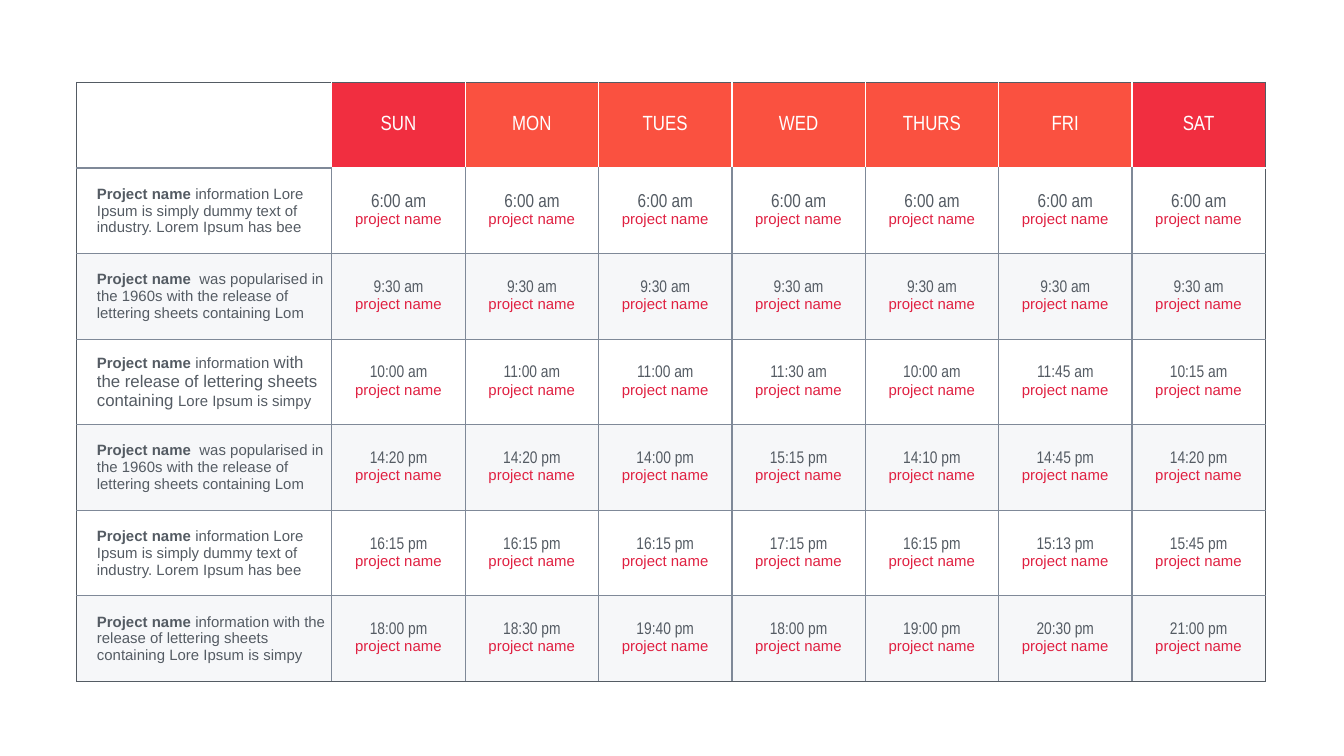
from lxml import etree
from pptx import Presentation
from pptx.dml.color import RGBColor
from pptx.enum.text import MSO_ANCHOR, PP_ALIGN
from pptx.oxml.ns import qn
from pptx.util import Pt

MIDDLE = MSO_ANCHOR.MIDDLE
CENTER, LEFT = PP_ALIGN.CENTER, PP_ALIGN.LEFT
WHITE, DARK, GRAY = "FFFFFF", "545B63", "7F8998"
RED, CORAL, PINK, BAND = "F12E40", "FA5140", "E02041", "EEF0F4"
SANS, SLIM = "Arial", "Arial Narrow"


def rgb(color):
    return RGBColor.from_string(color)


def write(para, text, size, face, color, bold=False):
    run = para.add_run()
    run.text = text
    font = run.font
    font.size, font.name, font.bold = Pt(size), face, bold
    font.color.rgb = rgb(color)


# Schedule: description runs (text, size) and one time per day
days = ["SUN", "MON", "TUES", "WED", "THURS", "FRI", "SAT"]
lorem = [("information Lore Ipsum is simply dummy text of industry. Lorem Ipsum has bee", 8)]
sixties = [(" was popularised in the 1960s with the release of lettering sheets containing Lom", 8)]
mixed = [("information ", 8),
         ("with the release of lettering sheets containing ", 9),
         ("Lore Ipsum is simpy", 8)]
sheets = [("information with the release of lettering sheets containing Lore Ipsum is simpy", 8)]
plan = [
    (lorem, "am", ["6:00"] * 7),
    (sixties, "am", ["9:30"] * 7),
    (mixed, "am", ["10:00", "11:00", "11:00", "11:30", "10:00", "11:45", "10:15"]),
    (sixties, "pm", ["14:20", "14:20", "14:00", "15:15", "14:10", "14:45", "14:20"]),
    (lorem, "pm", ["16:15", "16:15", "16:15", "17:15", "16:15", "15:13", "15:45"]),
    (sheets, "pm", ["18:00", "18:30", "19:40", "18:00", "19:00", "20:30", "21:00"]),
]
rows, cols = len(plan) + 1, len(days) + 1

deck = Presentation()
deck.slide_width, deck.slide_height = Pt(720), Pt(405)
slide = deck.slides.add_slide(deck.slide_layouts[6])

# Table grid
first, wide, high = 136.7, 71.45, 45.85
frame = slide.shapes.add_table(rows, cols, Pt(41.1), Pt(44.2),
                               Pt(first + wide * len(days)), Pt(high * rows))
table = frame.table
table.first_row = table.horz_banding = False
for row in table.rows:
    row.height = Pt(high)
for c, col in enumerate(table.columns):
    col.width = Pt(wide if c else first)

for r in range(rows):
    for c in range(cols):
        cell = table.cell(r, c)
        cell.vertical_anchor = MIDDLE
        cell.margin_left = Pt(2.7 if c or not r else 10.8)
        cell.margin_right = Pt(2.7)
        cell.margin_top = cell.margin_bottom = Pt(1.35)
        para = cell.text_frame.paragraphs[0]
        para.alignment = CENTER if c else LEFT

        # Text
        if r:
            note, half, times = plan[r - 1]
            if c:
                write(para, f"{times[c - 1]} {half}", 10 if r == 1 else 9, SLIM, DARK)
                para = cell.text_frame.add_paragraph()
                para.alignment = CENTER
                write(para, "project name", 8, SANS, PINK)
            else:
                write(para, "Project name ", 8, SANS, DARK, True)
                for text, size in note:
                    write(para, text, size, SANS, DARK)
        elif c:
            write(para, days[c - 1], 11, SLIM, WHITE)

        # Fill: red weekends, coral weekdays, half-clear bands on even rows
        props = cell._tc.get_or_add_tcPr()
        if r == 0 and c:
            cell.fill.solid()
            cell.fill.fore_color.rgb = rgb(RED if c in (1, cols - 1) else CORAL)
        elif r and r % 2 == 0:
            cell.fill.solid()
            cell.fill.fore_color.rgb = rgb(BAND)
            tone = props.find(".//" + qn("a:srgbClr"))
            etree.SubElement(tone, qn("a:alpha"), val="50000")
        else:
            cell.fill.background()

        # Borders: dark outside, white around the header, gray elsewhere
        side = GRAY if r else WHITE
        edges = [
            ("a:lnL", side if c else DARK),
            ("a:lnR", side if c < cols - 1 else DARK),
            ("a:lnT", DARK if r == 0 else WHITE if r == 1 and c else GRAY),
            ("a:lnB", DARK if r == rows - 1 else WHITE if r == 0 and c else GRAY),
        ]
        for spot, (tag, color) in enumerate(edges):
            line = etree.Element(qn(tag), w=str(Pt(0.75)))
            paint = etree.SubElement(line, qn("a:solidFill"))
            etree.SubElement(paint, qn("a:srgbClr"), val=color)
            props.insert(spot, line)

deck.save("out.pptx")
